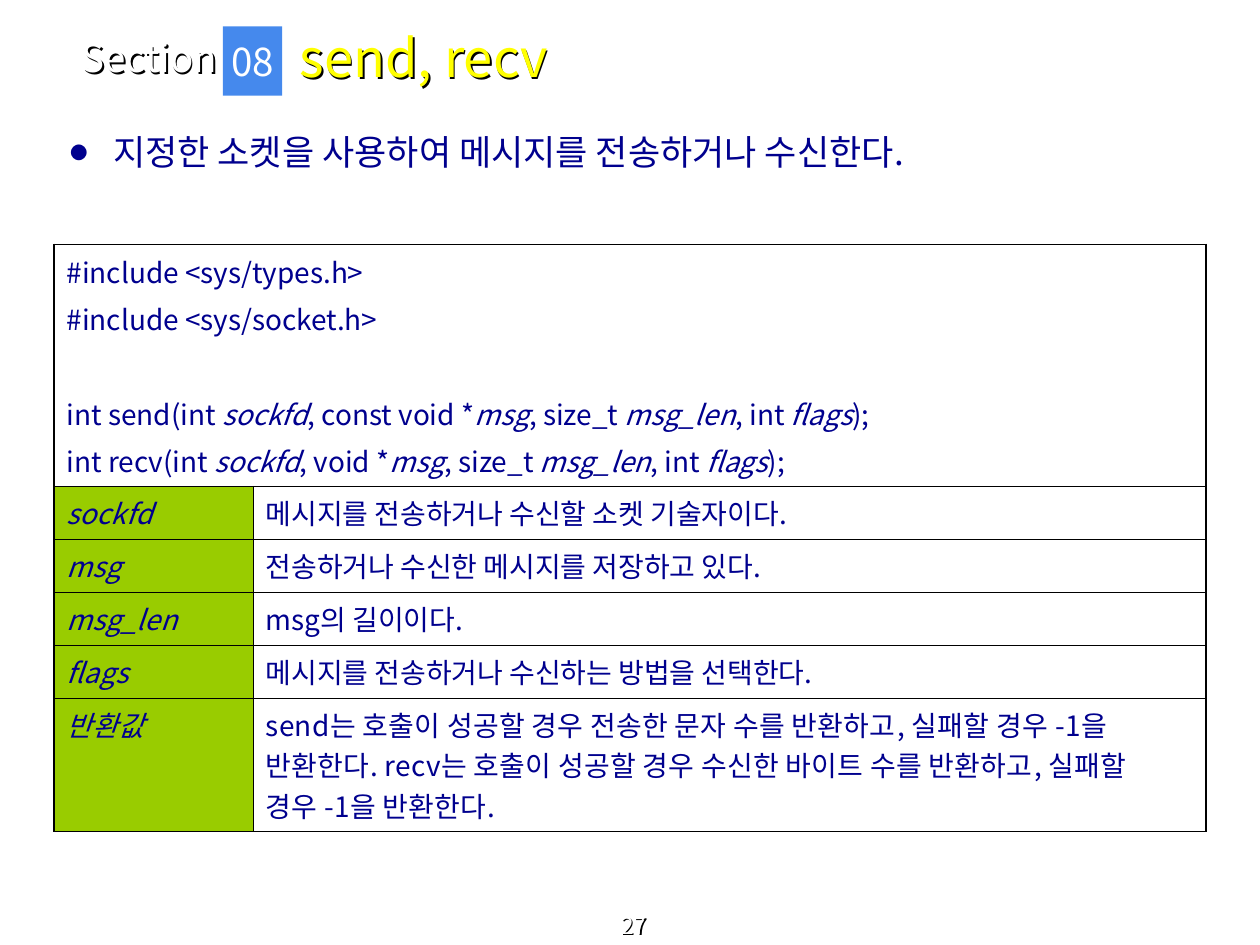
"""Build the slide that explains the send and recv socket calls."""
import pptx
import pptx.dml.color
import pptx.enum.shapes
import pptx.enum.text
import pptx.oxml
import pptx.oxml.ns
import pptx.util
from pptx.util import Inches, Pt

FONT = "Noto Sans CJK KR"
NAVY = pptx.dml.color.RGBColor(0x00, 0x00, 0x8E)
WHITE = pptx.dml.color.RGBColor(0xFF, 0xFF, 0xFF)
YELLOW = pptx.dml.color.RGBColor(0xFF, 0xFF, 0x00)
BLUE = pptx.dml.color.RGBColor(0x45, 0x89, 0xED)
GREEN = pptx.dml.color.RGBColor(0x99, 0xCC, 0x00)
BLACK = pptx.dml.color.RGBColor(0x00, 0x00, 0x00)

ANCHOR = pptx.enum.text.MSO_ANCHOR
CENTER = pptx.enum.text.PP_ALIGN.CENTER

SUMMARY = "지정한 소켓을 사용하여 메시지를 전송하거나 수신한다."
INCLUDES = ["#include <sys/types.h>", "#include <sys/socket.h>"]
PROTOTYPES = [("send", "const void"), ("recv", "void")]
TERMS = [
    ("sockfd", "메시지를 전송하거나 수신할 소켓 기술자이다.", 0),
    ("msg", "전송하거나 수신한 메시지를 저장하고 있다.", 0),
    ("msg_len", "msg의 길이이다.", 0),
    ("flags", "메시지를 전송하거나 수신하는 방법을 선택한다.", 0),
    ("반환값", "send는 호출이 성공할 경우 전송한 문자 수를 반환하고, 실패할 경우 -1을 반환한다. "
              "recv는 호출이 성공할 경우 수신한 바이트 수를 반환하고, 실패할 경우 -1을 반환한다.", 20),
]
COLUMNS = [1.58, 7.56]
ROWS = [1.92, 0.42, 0.42, 0.42, 0.42, 1.06]
OUTER, INNER = 1.08, 0.45


def element(markup):
    return pptx.oxml.parse_xml(markup.replace(">", f" {pptx.oxml.ns.nsdecls('a')}>", 1))


def add_span(para, text, size, color, italic=False, tracking=0):
    span = para.add_run()
    span.text = text
    span.font.size = Pt(size)
    span.font.italic = italic
    span.font.color.rgb = color
    span.font.name = FONT
    properties = span.font._element
    if tracking:
        properties.set("spc", str(tracking))
    properties.find(pptx.oxml.ns.qn("a:latin")).addnext(
        element(f'<a:ea typeface="{FONT}"></a:ea>'))


def add_label(slide, text, place, size, color, anchor, align=None, shadow=True):
    box = slide.shapes.add_textbox(*map(Inches, place))
    box.text_frame.word_wrap = True
    box.text_frame.vertical_anchor = anchor
    if shadow:
        box._element.spPr.append(element(
            '<a:effectLst><a:outerShdw dist="17961" dir="2700000">'
            '<a:srgbClr val="000000"/></a:outerShdw></a:effectLst>'))
    para = box.text_frame.paragraphs[0]
    para.alignment = align
    add_span(para, text, size, color)
    return para


def add_bullet(para):
    properties = para._p.get_or_add_pPr()
    properties.set("marL", str(Inches(0.47)))
    properties.set("indent", str(Inches(-0.34)))
    for markup in ('<a:buClr><a:srgbClr val="00008E"/></a:buClr>',
                   '<a:buSzPct val="50000"></a:buSzPct>',
                   f'<a:buFont typeface="{FONT}"></a:buFont>',
                   '<a:buChar char="●"></a:buChar>'):
        properties.append(element(markup))


def add_badge(slide, text):
    badge = slide.shapes.add_shape(pptx.enum.shapes.MSO_SHAPE.RECTANGLE,
                                   *map(Inches, (1.77, 0.21, 0.47, 0.55)))
    badge.shadow.inherit = False
    badge.fill.solid()
    badge.fill.fore_color.rgb = BLUE
    badge.line.fill.background()
    badge.text_frame.word_wrap = False
    badge.text_frame.vertical_anchor = ANCHOR.MIDDLE
    para = badge.text_frame.paragraphs[0]
    para.alignment = CENTER
    add_span(para, text, 22, WHITE)


def prototype_parts(name, pointer):
    return [(f"int {name}(int ", False), ("sockfd", True), (f", {pointer} *", False),
            ("msg", True), (", size_t ", False), ("msg_len", True),
            (", int ", False), ("flags", True), (");", False)]


def fill_cell(cell, lines, color=None, tracking=0):
    if color is None:
        cell.fill.background()
    else:
        cell.fill.solid()
        cell.fill.fore_color.rgb = color
    cell.margin_left = cell.margin_right = Inches(0.1)
    cell.margin_top = cell.margin_bottom = Inches(0.05)
    for index, (space, parts) in enumerate(lines):
        frame = cell.text_frame
        para = frame.add_paragraph() if index else frame.paragraphs[0]
        para.space_before = Pt(space)
        for text, italic in parts:
            add_span(para, text, 16, NAVY, italic, tracking)


def set_borders(cell, row, column):
    edges = {"L": column == 0, "R": column == len(COLUMNS) - 1 or row == 0,
             "T": row == 0, "B": row == len(ROWS) - 1}
    for index, (side, outside) in enumerate(edges.items()):
        width = Pt(OUTER if outside else INNER)
        cell._tc.get_or_add_tcPr().insert(index, element(
            f'<a:ln{side} w="{width}"><a:solidFill><a:srgbClr val="{BLACK}"/>'
            f'</a:solidFill></a:ln{side}>'))


def add_reference(slide):
    frame = slide.shapes.add_table(len(ROWS), len(COLUMNS), Inches(0.43), Inches(1.94),
                                   Inches(sum(COLUMNS)), Inches(sum(ROWS)))
    table = frame.table
    table.first_row = table.horz_banding = False
    for column, width in zip(table.columns, COLUMNS):
        column.width = Inches(width)
    for row, height in zip(table.rows, ROWS):
        row.height = Inches(height)
    table.cell(0, 0).merge(table.cell(0, 1))
    code = [(4, [(line, False)]) for line in INCLUDES]
    code += [(space, prototype_parts(*prototype))
             for space, prototype in zip((31, 4), PROTOTYPES)]
    fill_cell(table.cell(0, 0), code)
    for row, (term, meaning, tracking) in enumerate(TERMS, 1):
        fill_cell(table.cell(row, 0), [(4, [(term, True)])], GREEN)
        fill_cell(table.cell(row, 1), [(4, [(meaning, False)])], tracking=tracking)
    for row in range(len(ROWS)):
        for column in range(len(COLUMNS)):
            set_borders(table.cell(row, column), row, column)


def main():
    deck = pptx.Presentation()
    deck.slide_width, deck.slide_height = Inches(10), Inches(7.5)
    slide = deck.slides.add_slide(deck.slide_layouts[6])
    add_label(slide, "27", (0.03, 7.28, 10, 0.22), 13, WHITE, ANCHOR.BOTTOM, CENTER)
    add_label(slide, "Section", (0.55, 0.27, 1.93, 0.37), 22, WHITE, ANCHOR.MIDDLE)
    summary = add_label(slide, SUMMARY, (0.33, 0.99, 9.33, 0.47), 20, NAVY,
                        ANCHOR.TOP, shadow=False)
    summary.space_before = Pt(5)
    add_bullet(summary)
    add_reference(slide)
    add_label(slide, "send, recv", (2.28, 0.11, 6.49, 0.68), 30, YELLOW, ANCHOR.MIDDLE)
    add_badge(slide, "08")
    deck.save("out.pptx")


if __name__ == "__main__":
    main()
